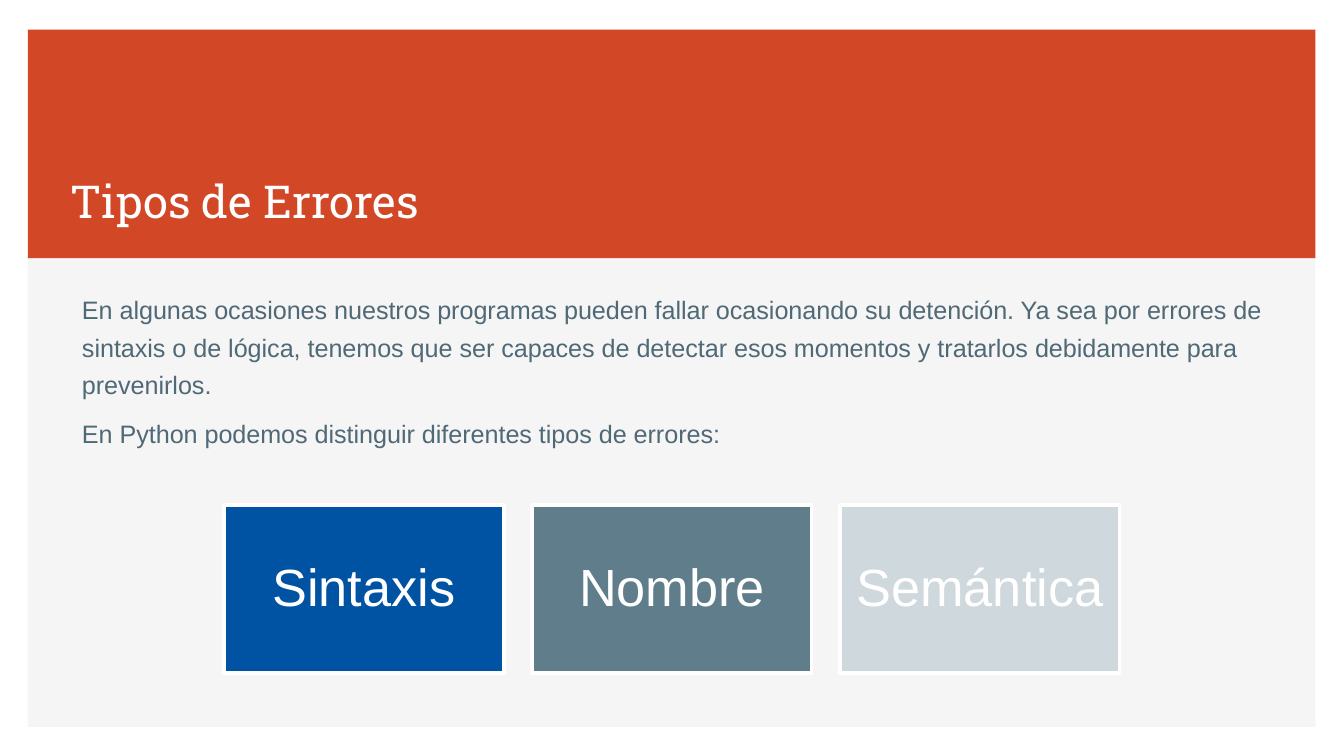
from pptx import Presentation
from pptx.dml.color import RGBColor
from pptx.enum.shapes import MSO_SHAPE
from pptx.enum.text import MSO_ANCHOR, PP_ALIGN
from pptx.util import Cm, Pt

RECT = MSO_SHAPE.RECTANGLE
BOTTOM, MIDDLE = MSO_ANCHOR.BOTTOM, MSO_ANCHOR.MIDDLE
CENTER = PP_ALIGN.CENTER

COLORS = {
    "white": "FFFFFF",
    "panel": "F5F5F5",
    "banner": "D24726",
    "body": "506976",
    "blue": "0053A3",
    "slate": "607D8B",
    "mist": "CFD8DC",
}
INTRO = [
    "En algunas ocasiones nuestros programas pueden fallar ocasionando su "
    "detención. Ya sea por errores de sintaxis o de lógica, tenemos que ser "
    "capaces de detectar esos momentos y tratarlos debidamente para prevenirlos.",
    "En Python podemos distinguir diferentes tipos de errores:",
]
KINDS = [("Sintaxis", "blue"), ("Nombre", "slate"), ("Semántica", "mist")]


def color(name):
    return RGBColor.from_string(COLORS[name])


def style(para, size, font, tint):
    for run in para.runs:
        run.font.size = Pt(size)
        run.font.name = font
        run.font.color.rgb = color(tint)


def pad(frame, gap):
    frame.margin_left = frame.margin_right = Cm(gap)
    frame.margin_top = frame.margin_bottom = Cm(gap)


def add_rect(slide, box, fill, line=None):
    shape = slide.shapes.add_shape(RECT, *map(Cm, box))
    shape.shadow.inherit = False
    shape.fill.solid()
    shape.fill.fore_color.rgb = color(fill)
    if line:
        shape.line.color.rgb = color(line)
        shape.line.width = Pt(2)
    else:
        shape.line.fill.background()
    return shape


def add_frame(slide, box):
    left, top, width, _ = box
    add_rect(slide, box, "panel")
    add_rect(slide, (left, top, width, 4.32), "banner")


def add_title(slide, box, text):
    frame = slide.shapes.add_textbox(*map(Cm, box)).text_frame
    frame.word_wrap = True
    frame.vertical_anchor = BOTTOM
    pad(frame, 0.25)
    frame.text = text
    style(frame.paragraphs[0], 24.3, "Roboto Slab", "white")


def add_intro(slide, box, lines):
    frame = slide.shapes.add_textbox(*map(Cm, box)).text_frame
    frame.word_wrap = True
    frame.margin_left = Cm(0.56)
    frame.text = "\n".join(lines)
    for para in frame.paragraphs:
        para.line_spacing = 1.24
        para.space_before = Pt(6)
        style(para, 13.5, "Arial", "body")


def add_cards(slide, box, kinds):
    left, top, width, height = box
    gap = 0.54
    size = (width - gap * (len(kinds) - 1)) / len(kinds)
    for i, (text, fill) in enumerate(kinds):
        spot = (left + i * (size + gap), top, size, height)
        frame = add_rect(slide, spot, fill, "white").text_frame
        frame.word_wrap = True
        frame.vertical_anchor = MIDDLE
        pad(frame, 0.3)
        frame.text = text
        para = frame.paragraphs[0]
        para.alignment = CENTER
        para.line_spacing = 0.9
        style(para, 28, "Arial", "white")


def main():
    deck = Presentation()
    deck.slide_width, deck.slide_height = Cm(25.4), Cm(14.29)
    slide = deck.slides.add_slide(deck.slide_layouts[6])
    add_frame(slide, (0.53, 0.56, 24.33, 13.18))
    add_title(slide, (1.09, 3.2, 14.33, 1.35), "Tipos de Errores")
    add_intro(slide, (0.99, 5.31, 23.62, 3.96), INTRO)
    add_cards(slide, (4.24, 9.55, 16.92, 3.18), KINDS)
    deck.save("out.pptx")


if __name__ == "__main__":
    main()
